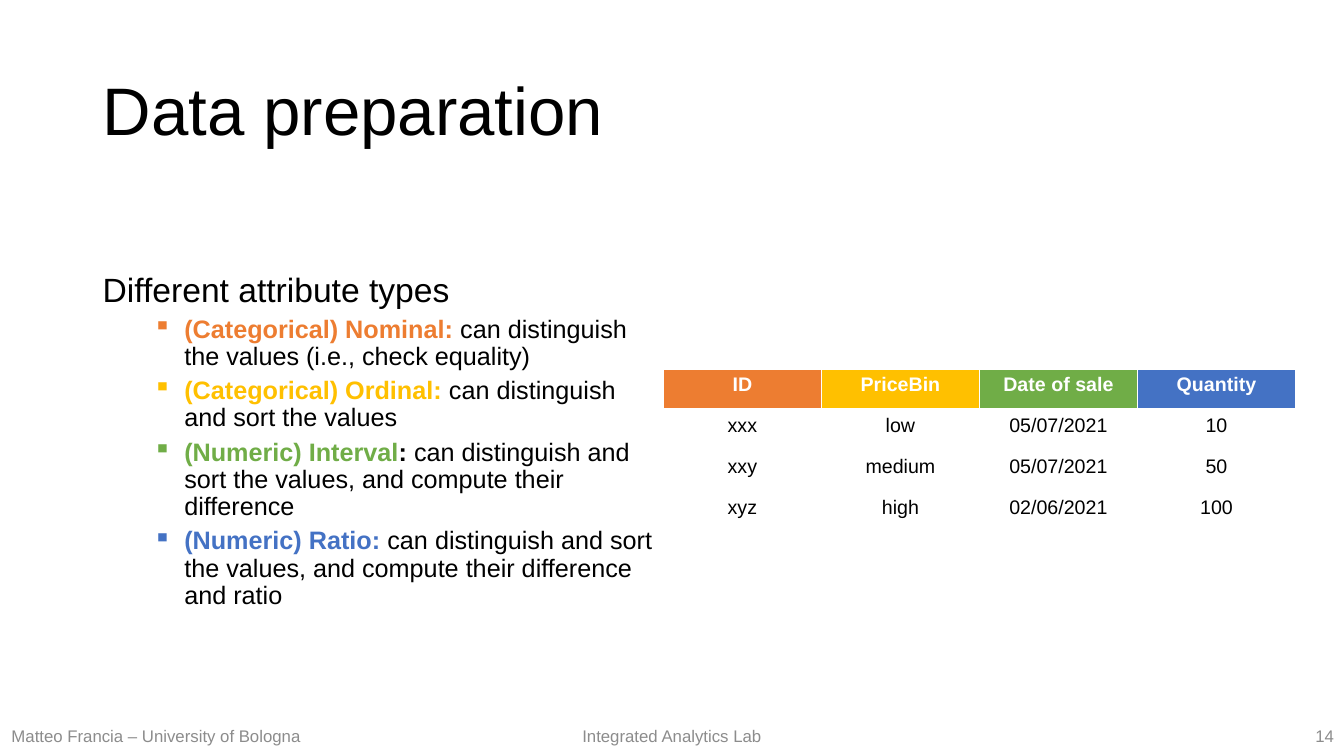
from lxml import etree
from pptx import Presentation
from pptx.dml.color import RGBColor
from pptx.enum.text import MSO_ANCHOR, MSO_AUTO_SIZE, PP_ALIGN
from pptx.oxml.ns import qn
from pptx.util import Inches, Pt

LEFT, CENTER, RIGHT = PP_ALIGN.LEFT, PP_ALIGN.CENTER, PP_ALIGN.RIGHT
MIDDLE = MSO_ANCHOR.MIDDLE
COLORS = {
    "text": "000000", "footer": "8C8C8C", "white": "FFFFFF",
    "nominal": "ED7D31", "ordinal": "FFC000",
    "interval": "70AD47", "ratio": "4472C4",
}


def write(paragraph, text, size=18, color="text", bold=False, align=LEFT):
    paragraph.alignment = align
    run = paragraph.add_run()
    run.text = text
    run.font.name = "Arial"
    run.font.size = Pt(size)
    run.font.bold = bold
    run.font.color.rgb = RGBColor.from_string(COLORS[color])


def add_frame(left, top, width, height):
    box = slide.shapes.add_textbox(Inches(left), Inches(top), Inches(width), Inches(height))
    frame = box.text_frame
    frame.word_wrap = True
    frame.vertical_anchor = MIDDLE
    return frame


prs = Presentation()
prs.slide_width, prs.slide_height = Inches(13.33), Inches(7.5)
slide = prs.slides.add_slide(prs.slide_layouts[5])

# Title
title = slide.shapes.title
title.left, title.top = Inches(0.92), Inches(0.4)
title.width, title.height = Inches(11.5), Inches(1.45)
title.text_frame.vertical_anchor = MIDDLE
title.text_frame.auto_size = MSO_AUTO_SIZE.NONE
heading = title.text_frame.paragraphs[0]
heading.line_spacing = 0.9
write(heading, "Data preparation", size=48)

# Attribute types
attribute_types = [
    ("nominal", "(Categorical) Nominal: ", "",
     "can distinguish the values (i.e., check equality)"),
    ("ordinal", "(Categorical) Ordinal: ", "",
     "can distinguish and sort the values"),
    ("interval", "(Numeric) Interval", ": ",
     "can distinguish and sort the values, and compute their difference"),
    ("ratio", "(Numeric) Ratio: ", "",
     "can distinguish and sort the values, and compute their difference and ratio"),
]
body = add_frame(0.92, 2, 5.67, 4.76)
intro = body.paragraphs[0]
intro.line_spacing = 0.9
intro.space_before = Pt(10)
write(intro, "Different attribute types", size=24)
for color, label, colon, description in attribute_types:
    item = body.add_paragraph()
    item.level = 1
    item.line_spacing = 0.9
    item.space_before = Pt(5)
    write(item, label, color=color, bold=True)
    if colon:
        write(item, colon, bold=True)
    write(item, description)
    properties = item._p.get_or_add_pPr()
    properties.set("marL", str(Inches(0.81)))
    properties.set("indent", str(Inches(-0.31)))
    etree.SubElement(properties, qn("a:buChar")).set("char", "▪")

# Sales table, each column coloured by its attribute type
sales = [
    ("ID", "PriceBin", "Date of sale", "Quantity"),
    ("xxx", "low", "05/07/2021", "10"),
    ("xxy", "medium", "05/07/2021", "50"),
    ("xyz", "high", "02/06/2021", "100"),
]
table = slide.shapes.add_table(
    len(sales), len(sales[0]), Inches(6.58), Inches(3.66), Inches(6.27), Inches(1.62)).table
for r, values in enumerate(sales):
    for c, value in enumerate(values):
        cell = table.cell(r, c)
        is_header = r == 0
        write(cell.text_frame.paragraphs[0], value, size=14, bold=is_header,
              color="white" if is_header else "text", align=CENTER)
        if is_header:
            cell.fill.solid()
            cell.fill.fore_color.rgb = RGBColor.from_string(COLORS[attribute_types[c][0]])
        else:
            cell.fill.background()
        cell_properties = cell._tc.get_or_add_tcPr()
        for i, side in enumerate(("lnL", "lnR", "lnT", "lnB")):
            thick = (is_header and side == "lnB") or (r == 1 and side == "lnT")
            border = etree.Element(qn(f"a:{side}"), w=str(Pt(3 if thick else 1)))
            line_fill = etree.SubElement(border, qn("a:solidFill"))
            etree.SubElement(line_fill, qn("a:srgbClr")).set("val", COLORS["white"])
            cell_properties.insert(i, border)

# Footer
for left, width, text, align in [
    (0, 3.1, "Matteo Francia – University of Bologna", CENTER),
    (5.23, 2.87, "Integrated Analytics Lab", CENTER),
    (10.33, 3, "14", RIGHT),
]:
    footer = add_frame(left, 7.1, width, 0.4)
    write(footer.paragraphs[0], text, size=12, color="footer", align=align)

prs.save("out.pptx")
